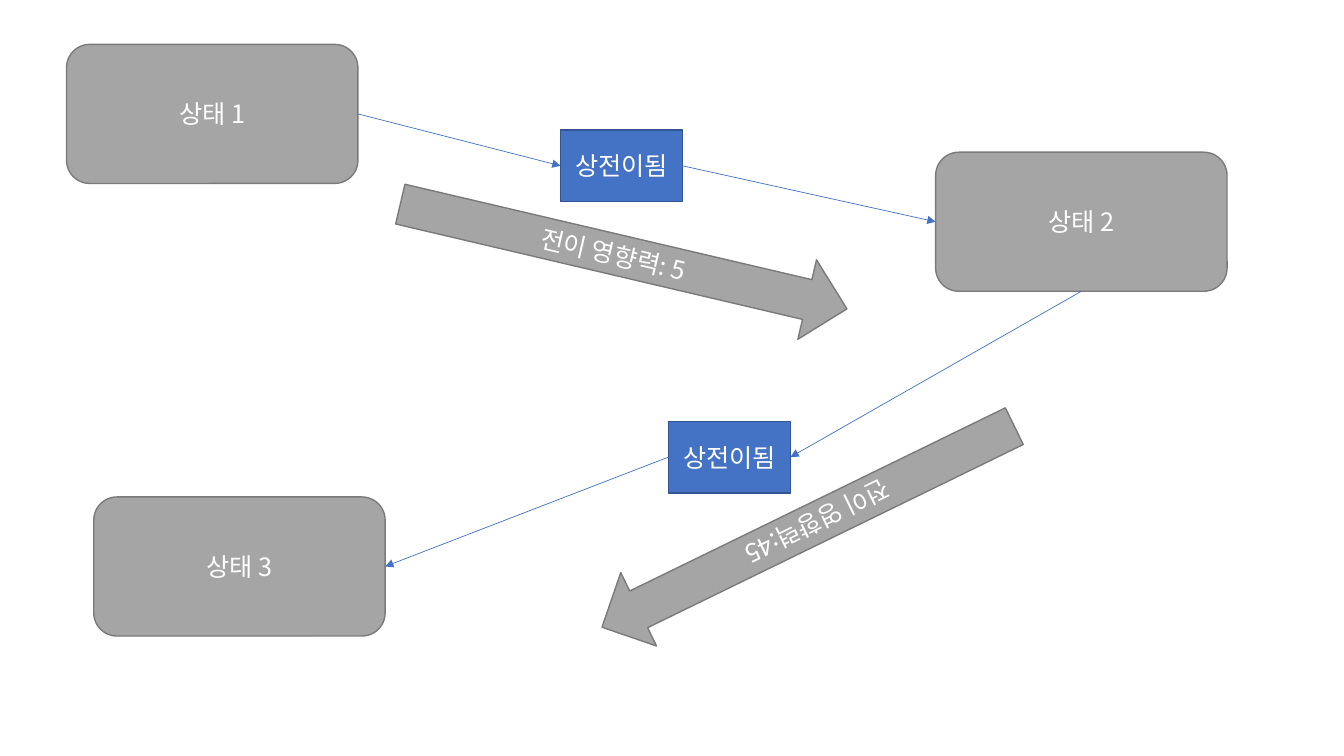
from lxml.etree import SubElement
from pptx import Presentation
from pptx.dml.color import RGBColor
from pptx.enum.shapes import MSO_CONNECTOR, MSO_SHAPE
from pptx.enum.text import MSO_ANCHOR, PP_ALIGN
from pptx.oxml.ns import qn
from pptx.util import Pt

PX = 9144  # 100 px to the inch
TOP, LEFT, BOTTOM, RIGHT = range(4)  # connection sites of a rectangle


def color(hex_code):
    return RGBColor.from_string(hex_code)


class Diagram:
    FONT = "Noto Sans CJK KR"
    TEXT = "FFFFFF"
    GRAY, GRAY_EDGE = "A5A5A5", "7A7A7A"
    BLUE, BLUE_EDGE = "4472C4", "325491"

    def __init__(self, slide):
        self.shapes = slide.shapes

    def block(self, kind, box, label, fill, edge):
        shape = self.shapes.add_shape(kind, *(n * PX for n in box))
        shape.shadow.inherit = False
        shape.fill.solid()
        shape.fill.fore_color.rgb = color(fill)
        shape.line.color.rgb = color(edge)
        shape.line.width = Pt(1)
        frame = shape.text_frame
        frame.word_wrap = True
        frame.vertical_anchor = MSO_ANCHOR.MIDDLE
        paragraph = frame.paragraphs[0]
        paragraph.text = label
        paragraph.alignment = PP_ALIGN.CENTER
        font = paragraph.font
        font.size = Pt(18)
        font.color.rgb = color(self.TEXT)
        font.name = self.FONT
        SubElement(font._rPr, qn("a:ea"), typeface=self.FONT)
        return shape

    def state(self, left, top, label):
        return self.block(MSO_SHAPE.ROUNDED_RECTANGLE, (left, top, 289, 138),
                          label, self.GRAY, self.GRAY_EDGE)

    def transition(self, left, top):
        return self.block(MSO_SHAPE.RECTANGLE, (left, top, 121, 71),
                          "상전이됨", self.BLUE, self.BLUE_EDGE)

    def influence(self, left, top, angle, label):
        arrow = self.block(MSO_SHAPE.RIGHT_ARROW, (left, top, 455, 81),
                           label, self.GRAY, self.GRAY_EDGE)
        arrow.rotation = angle

    def link(self, source, source_site, target, target_site):
        """Glue a thin arrow from one shape's site to another's."""
        connector = self.shapes.add_connector(MSO_CONNECTOR.STRAIGHT, 0, 0, 0, 0)
        connector.begin_connect(source, source_site)
        connector.end_connect(target, target_site)
        connector.line.color.rgb = color(self.BLUE)
        connector.line.width = Pt(0.5)
        SubElement(connector.line._get_or_add_ln(), qn("a:tailEnd"), type="triangle")
        SubElement(connector._element.spPr, qn("a:effectLst"))


def main():
    deck = Presentation()
    deck.slide_width, deck.slide_height = 1333 * PX, 750 * PX
    diagram = Diagram(deck.slides.add_slide(deck.slide_layouts[6]))

    state_1 = diagram.state(66, 44, "상태 1")
    state_2 = diagram.state(928, 151, "상태 2")
    state_3 = diagram.state(93, 493, "상태 3")

    first_transition = diagram.transition(556, 129)
    diagram.link(state_1, RIGHT, first_transition, LEFT)
    diagram.link(first_transition, RIGHT, state_2, LEFT)
    diagram.influence(391, 214, 13.2, "전이 영향력: 5")

    second_transition = diagram.transition(663, 418)
    diagram.link(state_2, BOTTOM, second_transition, RIGHT)
    diagram.link(second_transition, LEFT, state_3, RIGHT)
    diagram.influence(574, 482, 154, "전이 영향력:45")

    deck.save("out.pptx")


if __name__ == "__main__":
    main()
